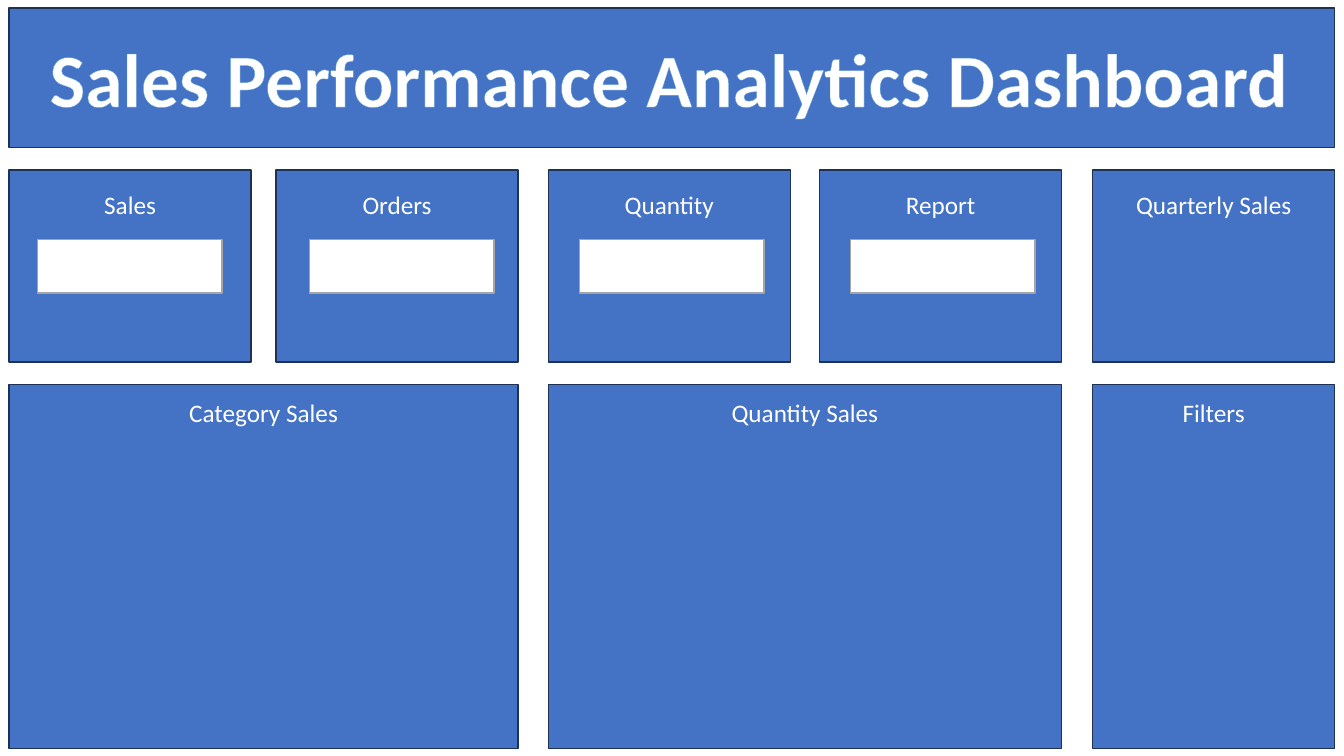
import pptx
import pptx.dml.color
import pptx.enum.shapes
import pptx.enum.text
import pptx.oxml
import pptx.util

Pt = pptx.util.Pt
BLUE, NAVY, WHITE, GREY, SKY = "4472C4", "1E3256", "FFFFFF", "A5A5A5", "5B9BD5"


def colour(value):
    return pptx.dml.color.RGBColor.from_string(value)


class Dashboard:
    """Holds the dashboard style and the slide being built."""

    font = "Calibri"

    def __init__(self, slide):
        self.slide = slide

    def rectangle(self, left, top, width, height, fill=BLUE, line=NAVY):
        shape = self.slide.shapes.add_shape(
            pptx.enum.shapes.MSO_SHAPE.RECTANGLE,
            Pt(left), Pt(top), Pt(width), Pt(height))
        shape.shadow.inherit = False
        shape.fill.solid()
        shape.fill.fore_color.rgb = colour(fill)
        shape.line.color.rgb = colour(line)
        shape.line.width = Pt(1)
        return shape

    def add_label(self, frame, text, size, bold=False):
        paragraph = frame.paragraphs[0]
        paragraph.alignment = pptx.enum.text.PP_ALIGN.CENTER
        run = paragraph.add_run()
        run.text = text
        run.font.name = self.font
        run.font.size = Pt(size)
        run.font.bold = bold
        run.font.color.rgb = colour(WHITE)
        return run

    def panel(self, label, left, top, width, height, inset):
        frame = self.rectangle(left, top, width, height).text_frame
        frame.vertical_anchor = pptx.enum.text.MSO_ANCHOR.TOP
        frame.margin_top = Pt(inset)
        self.add_label(frame, label, 18)

    def field(self, left):
        self.rectangle(left, 171.2, 131.8, 38.1, WHITE, GREY)

    def title(self, text, left, top, width, height):
        shape = self.slide.shapes.title
        shape.left, shape.top = Pt(left), Pt(top)
        shape.width, shape.height = Pt(width), Pt(height)
        frame = shape.text_frame
        frame.word_wrap = False
        frame.auto_size = pptx.enum.text.MSO_AUTO_SIZE.SHAPE_TO_FIT_TEXT
        frame.vertical_anchor = pptx.enum.text.MSO_ANCHOR.TOP
        run = self.add_label(frame, text, 54, bold=True)
        outline = pptx.oxml.parse_xml(
            '<a:ln xmlns:a="http://schemas.openxmlformats.org/drawingml/2006/main" '
            f'w="{Pt(0.8)}"><a:solidFill><a:srgbClr val="{SKY}"/></a:solidFill></a:ln>')
        run.font._element.insert(0, outline)
        self.slide.shapes._spTree.append(shape._element)


def main():
    presentation = pptx.Presentation()
    presentation.slide_width = Pt(960)
    presentation.slide_height = Pt(540)
    slide = presentation.slides.add_slide(presentation.slide_layouts[5])
    dashboard = Dashboard(slide)

    columns = [6.5, 197.2, 391.6, 585.4, 780.5]
    card_width = 172.9
    labels = ["Sales", "Orders", "Quantity", "Report", "Quarterly Sales"]
    for label, left in zip(labels, columns):
        dashboard.panel(label, left, 121.5, card_width, 137.2, 13.5)

    dashboard.rectangle(columns[0], 5.6, columns[4] + card_width - columns[0], 100)

    for label, first, last in [("Category Sales", 0, 1),
                               ("Quantity Sales", 2, 3), ("Filters", 4, 4)]:
        width = columns[last] + card_width - columns[first]
        dashboard.panel(label, columns[first], 274.8, width, 259.9, 9.2)

    for left in [26.8, 221, 414, 607.6]:
        dashboard.field(left)

    dashboard.title("Sales Performance Analytics Dashboard", 23.8, 18.9, 908.6, 72.7)
    presentation.save("out.pptx")


if __name__ == "__main__":
    main()
